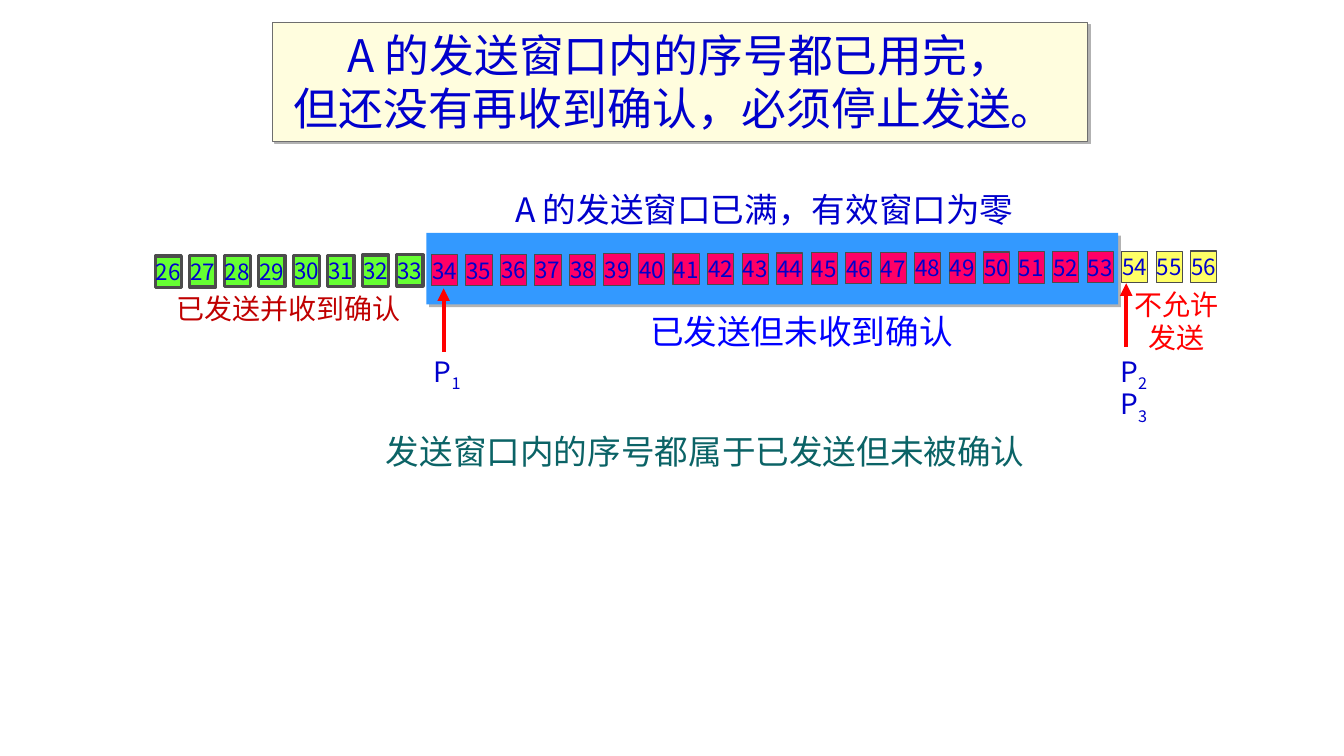
from dataclasses import dataclass
from typing import Optional

from lxml.etree import SubElement
from pptx import Presentation
from pptx.dml.color import RGBColor
from pptx.enum.shapes import MSO_CONNECTOR, MSO_SHAPE
from pptx.enum.text import MSO_ANCHOR, MSO_AUTO_SIZE, PP_ALIGN
from pptx.oxml.ns import qn
from pptx.util import Inches, Pt

FONT = "Noto Sans CJK SC"
COLORS = {
    "ink": "0000CC", "blue": "0000FF", "teal": "0B6366", "crimson": "C00000",
    "red": "FF0000", "white": "FFFFFF", "cream": "FFFDDE", "border": "6E6E6E",
    "window": "3399FF", "shadow": "B2B2B2", "edge": "4C4C4C",
    "acked": "66FF33", "sent": "FF0066", "blocked": "FFFF66",
}
# Sequence numbers sit on a slightly rising line from the first to the last
FIRST_NO, LAST_NO = 26, 56
FIRST_X, FIRST_Y = 1.54, 2.54
LAST_X, LAST_Y = 11.81, 2.49
CELL_W, CELL_H = 0.26, 0.31


@dataclass
class Label:
    x: float
    y: float
    w: float
    h: float
    lines: tuple[str, ...]
    size: int
    color: str
    centered: bool = True
    fill: Optional[str] = None
    sub: str = ""
    wrap: bool = False


@dataclass
class CellGroup:
    first: int
    last: int
    fill: str
    line_pt: float


@dataclass
class Pointer:
    x: float
    start_y: float
    end_y: float


TITLE = Label(2.7, 0.22, 8.09, 1.18,
              ("A 的发送窗口内的序号都已用完，", "但还没有再收到确认，必须停止发送。 "),
              32, "ink", fill="cream")
BACK_LABELS = [
    Label(11.15, 2.8, 1.04, 0.77, ("不允许", "发送"), 20, "red"),
    Label(1.64, 2.84, 2.45, 0.44, ("已发送并收到确认",), 20, "crimson", fill="white"),
    Label(5.01, 1.83, 5.26, 0.5, ("A 的发送窗口已满，有效窗口为零",), 24, "ink",
          centered=False, fill="white"),
]
FRONT_LABELS = [
    Label(6.35, 3.04, 3.25, 0.5, ("已发送但未收到确认",), 24, "blue", centered=False),
    Label(4.19, 3.47, 0.49, 0.44, ("P",), 20, "ink", sub="1"),
    Label(11, 3.47, 0.49, 0.44, ("P",), 20, "ink", sub="2"),
    Label(11, 3.79, 0.49, 0.44, ("P",), 20, "ink", sub="3"),
    Label(2.83, 4.23, 8.33, 0.5, ("发送窗口内的序号都属于已发送但未被确认",), 24,
          "teal", wrap=True),
]
CELL_GROUPS = [
    CellGroup(26, 33, "acked", 2.25),
    CellGroup(34, 53, "sent", 0.75),
    CellGroup(54, 56, "blocked", 0.75),
]
POINTERS = [Pointer(4.4, 3.49, 2.86), Pointer(11.17, 3.44, 2.81)]


def rgb(name: str) -> RGBColor:
    return RGBColor.from_string(COLORS[name])


def paint(sp, fill: str, line: Optional[str] = None, line_pt: float = 0.75) -> None:
    sp.fill.solid()
    sp.fill.fore_color.rgb = rgb(fill)
    if line:
        sp.line.color.rgb = rgb(line)
        sp.line.width = Pt(line_pt)
    else:
        sp.line.fill.background()


def add_shadow(sp) -> None:
    sp.shadow.inherit = False
    effects = sp._element.spPr.find(qn("a:effectLst"))
    outer = SubElement(effects, qn("a:outerShdw"), blurRad="0", dist=str(Pt(2.8)),
                       dir=str(45 * 60000), algn="ctr", rotWithShape="0")
    SubElement(outer, qn("a:srgbClr"), val=COLORS["shadow"])


def add_run(p, text: str, size: int, color: str, subscript: bool = False) -> None:
    r = p.add_run()
    r.text = text
    r.font.size = Pt(size)
    r.font.name = FONT
    r.font.color.rgb = rgb(color)
    rpr = r._r.get_or_add_rPr()
    SubElement(rpr, qn("a:ea"), typeface=FONT)
    if subscript:
        rpr.set("baseline", "-25000")


def write(sp, label: Label) -> None:
    tf = sp.text_frame
    tf.word_wrap = label.wrap
    tf.auto_size = MSO_AUTO_SIZE.SHAPE_TO_FIT_TEXT
    tf.vertical_anchor = MSO_ANCHOR.TOP
    for i, line in enumerate(label.lines):
        p = tf.add_paragraph() if i else tf.paragraphs[0]
        p.alignment = PP_ALIGN.CENTER if label.centered else PP_ALIGN.LEFT
        add_run(p, line, label.size, label.color)
        if label.sub:
            add_run(p, label.sub, label.size, label.color, subscript=True)


def add_label(slide, label: Label) -> None:
    sp = slide.shapes.add_textbox(Inches(label.x), Inches(label.y),
                                  Inches(label.w), Inches(label.h))
    if label.fill:
        paint(sp, label.fill)
    write(sp, label)


def add_title(slide) -> None:
    sp = slide.shapes.title
    sp.left, sp.top = Inches(TITLE.x), Inches(TITLE.y)
    sp.width, sp.height = Inches(TITLE.w), Inches(TITLE.h)
    paint(sp, TITLE.fill, "border")
    add_shadow(sp)
    write(sp, TITLE)


def add_window(slide) -> None:
    sp = slide.shapes.add_shape(MSO_SHAPE.RECTANGLE, Inches(4.23), Inches(2.31),
                                Inches(6.86), Inches(0.71))
    paint(sp, "window")
    add_shadow(sp)


def add_cell(slide, number: int, group: CellGroup) -> None:
    t = (number - FIRST_NO) / (LAST_NO - FIRST_NO)
    x = FIRST_X + t * (LAST_X - FIRST_X)
    y = FIRST_Y + t * (LAST_Y - FIRST_Y)
    sp = slide.shapes.add_shape(MSO_SHAPE.RECTANGLE, Inches(x), Inches(y),
                                Inches(CELL_W), Inches(CELL_H))
    sp.shadow.inherit = False
    paint(sp, group.fill, "edge", group.line_pt)
    tf = sp.text_frame
    tf.word_wrap = False
    tf.vertical_anchor = MSO_ANCHOR.MIDDLE
    tf.margin_left = tf.margin_right = tf.margin_top = tf.margin_bottom = 0
    p = tf.paragraphs[0]
    p.alignment = PP_ALIGN.CENTER
    add_run(p, str(number), 16, "ink")


def add_pointer(slide, pointer: Pointer) -> None:
    x = Inches(pointer.x)
    cn = slide.shapes.add_connector(MSO_CONNECTOR.STRAIGHT, x, Inches(pointer.start_y),
                                    x, Inches(pointer.end_y))
    cn.line.color.rgb = rgb("red")
    cn.line.width = Pt(3)
    SubElement(cn.line._get_or_add_ln(), qn("a:tailEnd"), type="triangle")
    SubElement(cn._element.spPr, qn("a:effectLst"))


def main() -> None:
    prs = Presentation()
    prs.slide_width, prs.slide_height = Inches(13.33), Inches(7.5)
    slide = prs.slides.add_slide(prs.slide_layouts[5])

    # Title and the labels behind the window
    add_title(slide)
    for label in BACK_LABELS:
        add_label(slide, label)

    # Send window with the row of sequence numbers
    add_window(slide)
    for group in CELL_GROUPS:
        for number in range(group.first, group.last + 1):
            add_cell(slide, number, group)

    # Pointers and the remaining labels
    for pointer in POINTERS:
        add_pointer(slide, pointer)
    for label in FRONT_LABELS:
        add_label(slide, label)

    prs.save("out.pptx")


if __name__ == "__main__":
    main()
